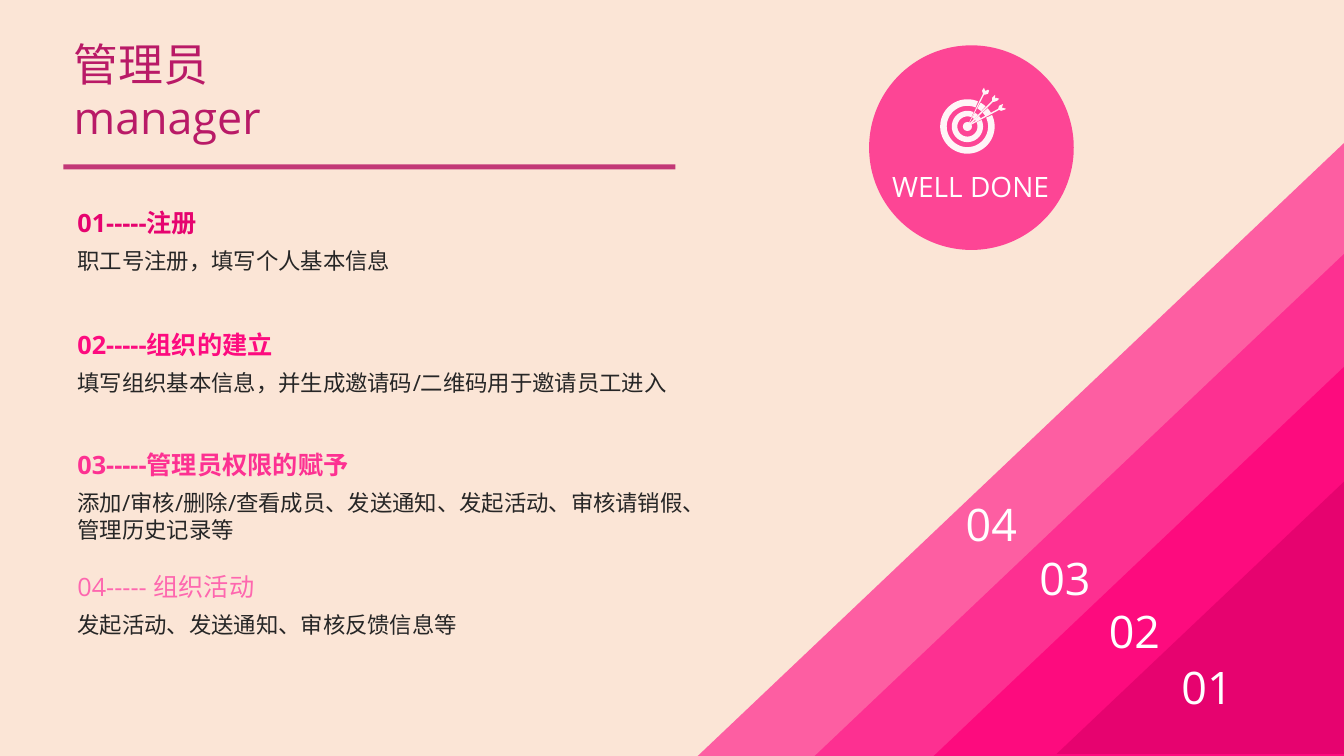
import math
from dataclasses import dataclass

from lxml import etree
from pptx import Presentation
from pptx.dml.color import RGBColor
from pptx.enum.shapes import MSO_SHAPE
from pptx.enum.text import MSO_ANCHOR, MSO_AUTO_SIZE, PP_ALIGN
from pptx.oxml.ns import qn
from pptx.util import Emu, Pt

PX = 9144  # 100 px to the inch
FONT = "Open Sans"
TRIANGLE, RECT, OVAL = MSO_SHAPE.RIGHT_TRIANGLE, MSO_SHAPE.RECTANGLE, MSO_SHAPE.OVAL
TOP, LEFT = MSO_ANCHOR.TOP, PP_ALIGN.LEFT
FIT = MSO_AUTO_SIZE.SHAPE_TO_FIT_TEXT

COLORS = {
    "background": "FBE5D6",
    "plum": "B91A67",
    "body": "262626",
    "white": "FFFFFF",
    "icon": "FFF5F7",
    "band4": "FE3896",
    "band3": "FE268D",
    "hot": "FE027A",
    "band1": "E1016C",
    "step1": "E6036F",
    "step2": "FD0B7F",
    "step3": "FD3192",
    "step4": "FE67AF",
}


@dataclass
class Box:
    x: int
    y: int
    w: int
    h: int

    def emu(self) -> list[Emu]:
        return [Emu(v * PX) for v in (self.x, self.y, self.w, self.h)]


@dataclass
class Band:
    box: Box
    color: str
    alpha: int


@dataclass
class Step:
    y: int
    heading: str
    text: str
    color: str
    bold: bool = True
    lines: int = 1


@dataclass
class Ring:
    inner: float
    outer: float


BANDS = [
    Band(Box(806, 252, 527, 500), "band4", 90),
    Band(Box(690, 142, 643, 610), "band3", 70),
    Band(Box(925, 364, 408, 387), "hot", 80),
    Band(Box(1048, 477, 286, 271), "band1", 80),
]
STEPS = [
    Step(201, "01-----注册", "职工号注册，填写个人基本信息", "step1"),
    Step(322, "02-----组织的建立",
         "填写组织基本信息，并生成邀请码/二维码用于邀请员工进入", "step2"),
    Step(441, "03-----管理员权限的赋予",
         "添加/审核/删除/查看成员、发送通知、发起活动、审核请销假、管理历史记录等",
         "step3", lines=2),
    Step(562, "04----- 组织活动", "发起活动、发送通知、审核反馈信息等", "step4", bold=False),
]
NUMBERS = {"01": (1162, 650), "02": (1090, 594), "03": (1021, 541), "04": (948, 488)}

# Target icon: ring pieces leave room for three arrows
CENTER = (959.5, 125.5)
RINGS = [Ring(20.5, 27), Ring(10, 15.5)]
RING_ARCS = [(-25, 293), (-61, -48), (-42, -30)]
ARROWS = [
    [(962, 121), (976, 94), (977, 94), (980, 93), (981, 90), (980, 89), (978, 90),
     (977, 90), (976, 87), (974, 90), (975, 93), (960, 124)],
    [(961, 125), (991, 109), (993, 110), (996, 109), (998, 108), (995, 107), (994, 107),
     (994, 106), (995, 103), (991, 105), (990, 108), (964, 122)],
    [(959, 125), (960, 126), (985, 101), (986, 101), (989, 100), (991, 98), (988, 97),
     (987, 98), (987, 97), (987, 94), (984, 97), (984, 100)],
]


def rgb(name: str) -> RGBColor:
    return RGBColor.from_string(COLORS[name])


def paint(sp, color: str, alpha: int = 100) -> None:
    sp.shadow.inherit = False
    sp.fill.solid()
    sp.fill.fore_color.rgb = rgb(color)
    sp.line.fill.background()
    if alpha < 100:
        clr = sp._element.spPr.find(".//" + qn("a:srgbClr"))
        etree.SubElement(clr, qn("a:alpha")).set("val", str(alpha * 1000))


def add_shape(shapes, kind, box: Box, color: str, alpha: int = 100):
    sp = shapes.add_shape(kind, *box.emu())
    paint(sp, color, alpha)
    return sp


def format_text(tf, size: int, color: str, bold: bool = False) -> None:
    tf.word_wrap = True
    tf.auto_size = FIT
    tf.vertical_anchor = TOP
    for p in tf.paragraphs:
        p.alignment = LEFT
        for r in p.runs:
            r.font.size = Pt(size)
            r.font.bold = bold
            r.font.color.rgb = rgb(color)
            r.font.name = FONT
            etree.SubElement(r.font._element, qn("a:ea")).set("typeface", FONT)


def add_text(shapes, box: Box, text: str, size: int, color: str, bold: bool = False) -> None:
    tf = shapes.add_textbox(*box.emu()).text_frame
    tf.text = text
    format_text(tf, size, color, bold)


def add_outline(shapes, points: list[tuple[float, float]], color: str) -> None:
    pts = [(round(x * PX), round(y * PX)) for x, y in points]
    builder = shapes.build_freeform(*pts[0], scale=1.0)
    builder.add_line_segments(pts[1:], close=True)
    paint(builder.convert_to_shape(), color)


def arc(radius: float, start: int, end: int) -> list[tuple[float, float]]:
    count = max(4, (end - start) // 5)
    angles = [math.radians(start + (end - start) * i / count) for i in range(count + 1)]
    return [(CENTER[0] + radius * math.cos(a), CENTER[1] + radius * math.sin(a))
            for a in angles]


def main() -> None:
    prs = Presentation()
    prs.slide_width, prs.slide_height = Emu(1333 * PX), Emu(750 * PX)
    slide = prs.slides.add_slide(prs.slide_layouts[5])
    slide.background.fill.solid()
    slide.background.fill.fore_color.rgb = rgb("background")
    shapes = slide.shapes

    # Diagonal bands
    for band in BANDS:
        sp = add_shape(shapes, TRIANGLE, band.box, band.color, band.alpha)
        sp._element.spPr.find(qn("a:xfrm")).set("flipH", "1")

    # Title and rule
    title = shapes.title
    title.left, title.top, title.width, title.height = Box(63, 31, 360, 118).emu()
    title.text_frame.text = "管理员\nmanager"
    format_text(title.text_frame, 32, "plum")
    add_shape(shapes, RECT, Box(63, 163, 607, 5), "plum", 85)

    # Steps
    for step in STEPS:
        add_text(shapes, Box(67, step.y + 39, 631, 10 + 27 * step.lines), step.text, 16, "body")
        add_text(shapes, Box(67, step.y, 340, 40), step.heading, 18, step.color, step.bold)

    # Band numbers
    for number, (x, y) in NUMBERS.items():
        add_text(shapes, Box(x, y, 100, 64), number, 32, "white")

    # Badge
    add_shape(shapes, OVAL, Box(862, 45, 203, 203), "hot", 70)
    add_text(shapes, Box(875, 163, 182, 44), "WELL DONE", 20, "white")
    icon = shapes.add_group_shape().shapes
    for ring in RINGS:
        for start, end in RING_ARCS:
            edge = arc(ring.outer, start, end) + arc(ring.inner, start, end)[::-1]
            add_outline(icon, edge, "icon")
    add_shape(icon, OVAL, Box(955, 121, 9, 9), "icon")
    for arrow in ARROWS:
        add_outline(icon, arrow, "icon")

    prs.save("out.pptx")


if __name__ == "__main__":
    main()
